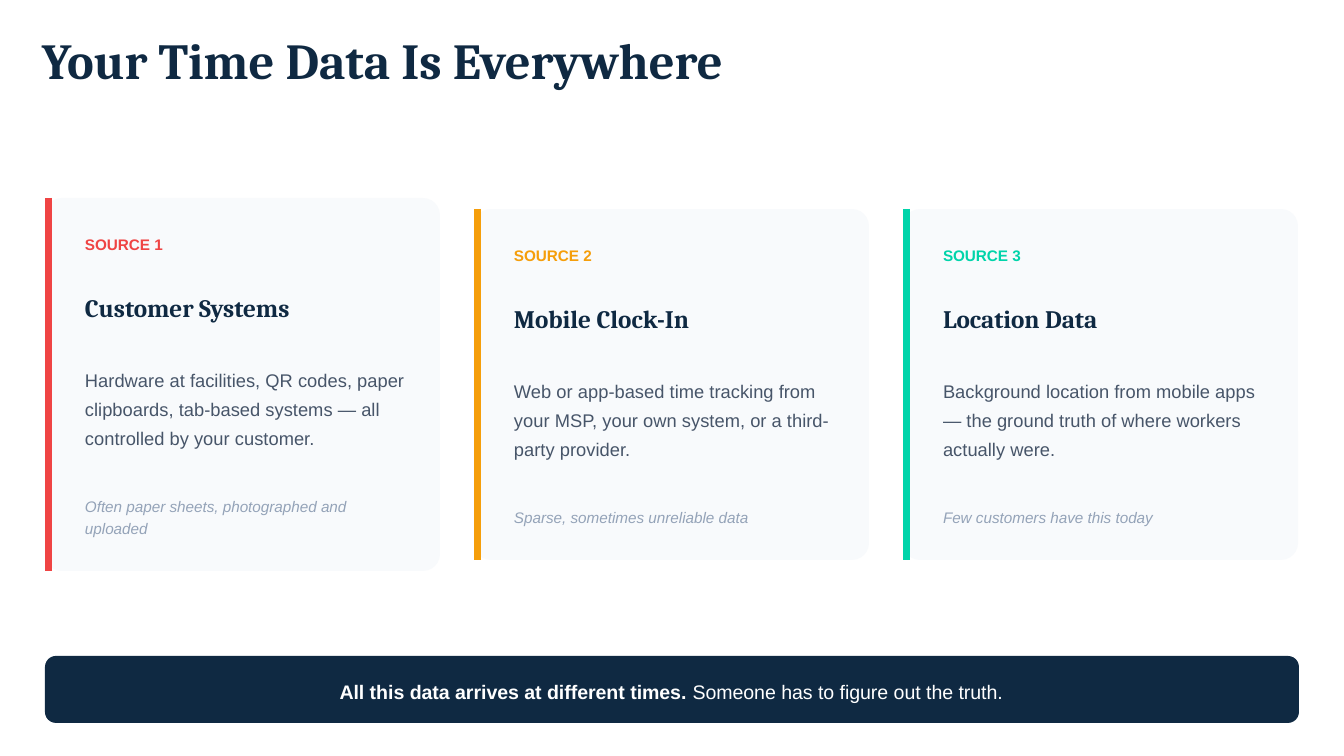
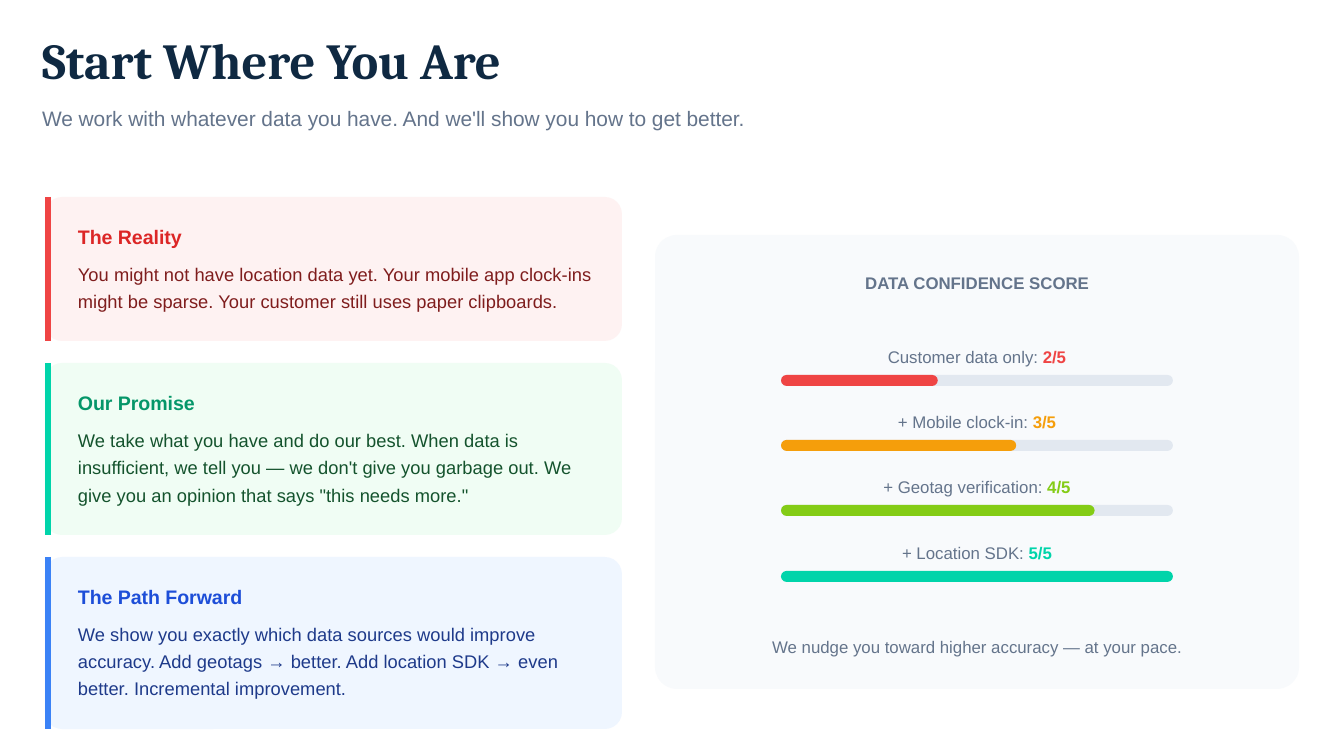
from lxml import etree
from pptx import Presentation
from pptx import util as u
from pptx.dml.color import RGBColor
from pptx.enum import shapes, text
from pptx.oxml.ns import qn

# Content
SOURCES_TITLE = ("Your Time Data Is Everywhere", 683)
SOURCES = [  # label, name, description, note, note lines, colour
    ("SOURCE 1", "Customer Systems",
     "Hardware at facilities, QR codes, paper clipboards, tab-based systems — "
     "all controlled by your customer.",
     "Often paper sheets, photographed and uploaded", 2, "EF4444"),
    ("SOURCE 2", "Mobile Clock-In",
     "Web or app-based time tracking from your MSP, your own system, "
     "or a third-party provider.",
     "Sparse, sometimes unreliable data", 1, "F59E0B"),
    ("SOURCE 3", "Location Data",
     "Background location from mobile apps — the ground truth of where "
     "workers actually were.",
     "Few customers have this today", 1, "00D4AA"),
]
BANNER = ("All this data arrives at different times.",
          " Someone has to figure out the truth.")

START_TITLE = ("Start Where You Are", 644)
SUBTITLE = ("We work with whatever data you have. "
            "And we'll show you how to get better.")
STEPS = [  # heading, body, body lines, fill, bar, heading colour, body colour
    ("The Reality",
     "You might not have location data yet. Your mobile app clock-ins might "
     "be sparse. Your customer still uses paper clipboards.",
     2, "FEF2F2", "EF4444", "DC2626", "7F1D1D"),
    ("Our Promise",
     "We take what you have and do our best. When data is insufficient, we "
     "tell you — we don't give you garbage out. We give you an opinion that "
     'says "this needs more."',
     3, "F0FDF4", "00D4AA", "059669", "14532D"),
    ("The Path Forward",
     "We show you exactly which data sources would improve accuracy. Add "
     "geotags → better. Add location SDK → even better. Incremental "
     "improvement.",
     3, "EFF6FF", "3B82F6", "1D4ED8", "1E3A8A"),
]
SCORE_HEADING = "DATA CONFIDENCE SCORE"
SCORES = [("Customer data only: ", 2, "EF4444"),
          ("+ Mobile clock-in: ", 3, "F59E0B"),
          ("+ Geotag verification: ", 4, "84CC16"),
          ("+ Location SDK: ", 5, "00D4AA")]
SCORE_MAX = 5
SCORE_NOTE = "We nudge you toward higher accuracy — at your pace."

# Shared style
WIDTH, HEIGHT = 1344, 756
MARGIN = 45
CONTENT_W = WIDTH - 2 * MARGIN
HEAD_FONT, BODY_FONT = "Cambria", "Arial"
NAVY, WHITE, PALE, TRACK = "0F2942", "FFFFFF", "F8FAFC", "E2E8F0"
SLATE, DARK_SLATE, LIGHT_SLATE = "64748B", "475569", "94A3B8"
EMU_PER_PX = u.Inches(10) / WIDTH


def px(n):
    return u.Emu(round(n * EMU_PER_PX))


def rgb(value):
    return RGBColor.from_string(value)


def add_text(s, x, y, w, h, runs, size, leading=None, font=BODY_FONT,
             center=False):
    """Each run is (text, colour, style), style being "", "b" or "i"."""
    tf = s.shapes.add_textbox(px(x), px(y), px(w), px(h)).text_frame
    tf.word_wrap = True
    tf.margin_left = tf.margin_right = tf.margin_top = tf.margin_bottom = 0
    p = tf.paragraphs[0]
    p.alignment = text.PP_ALIGN.CENTER if center else text.PP_ALIGN.LEFT
    if leading:
        p.line_spacing = u.Pt(leading)
    for words, color, style in runs:
        r = p.add_run()
        r.text = words
        r.font.name = font
        r.font.size = u.Pt(size)
        r.font.color.rgb = rgb(color)
        r.font.bold = style == "b"
        r.font.italic = style == "i"


def add_round(s, x, y, w, h, radius, color):
    sp = s.shapes.add_shape(shapes.MSO_SHAPE.ROUNDED_RECTANGLE,
                            px(x), px(y), px(w), px(h))
    sp.adjustments[0] = min(0.5, radius / min(w, h))
    sp.shadow.inherit = False
    sp.fill.solid()
    sp.fill.fore_color.rgb = rgb(color)
    sp.line.fill.background()


def add_card(s, x, y, w, h, fill, bar, bar_pt):
    """Rounded card with a coloured bar along its left edge."""
    add_round(s, x, y, w, h, 17, fill)
    bar_x = px(x) + u.Pt(bar_pt) // 2
    line = s.shapes.add_connector(shapes.MSO_CONNECTOR.STRAIGHT,
                                  bar_x, px(y), bar_x, px(y + h))
    line.line.color.rgb = rgb(bar)
    line.line.width = u.Pt(bar_pt)
    etree.SubElement(line.element.spPr, qn("a:effectLst"))


def new_slide(prs, title):
    s = prs.slides.add_slide(prs.slide_layouts[6])
    s.background.fill.solid()
    s.background.fill.fore_color.rgb = rgb(WHITE)
    words, w = title
    add_text(s, 42, 39, w, 51, [(words, NAVY, "b")], 27, 27, HEAD_FONT)
    return s


def build_sources(prs):
    s = new_slide(prs, SOURCES_TITLE)

    # Source cards, centred on one horizontal axis
    card_w, middle, inset = 395, 384, 40
    step = (CONTENT_W - card_w) // (len(SOURCES) - 1)
    for i, (label, name, body, note, lines, color) in enumerate(SOURCES):
        note_h = 22 * lines
        h = 296 + note_h + 33
        x, y = MARGIN + i * step, middle - h // 2
        add_card(s, x, y, card_w, h, PALE, color, 3.75)
        parts = [(34, 22, (label, color, "b"), 8.2, 11.6, BODY_FONT),
                 (94, 30, (name, NAVY, "b"), 13.5, 16.2, HEAD_FONT),
                 (164, 87, (body, DARK_SLATE, ""), 9.8, 15.6, BODY_FONT),
                 (296, note_h, (note, LIGHT_SLATE, "i"), 8.2, 11.6, BODY_FONT)]
        for dy, part_h, run, size, leading, font in parts:
            add_text(s, x + inset, y + dy, 328, part_h, [run], size, leading,
                     font)

    # Bottom banner
    add_round(s, MARGIN, 656, CONTENT_W, 67, 11, NAVY)
    strong, rest = BANNER
    add_text(s, 60, 676, 1223, 27, [(strong, WHITE, "b"), (rest, WHITE, "")],
             10.5, 14.7, center=True)


def build_start(prs):
    s = new_slide(prs, START_TITLE)
    add_text(s, 42, 101, 1285, 30, [(SUBTITLE, SLATE, "")], 11.2, 15.8)

    # Stacked cards on the left
    y, gap = 197, 22
    for heading, body, lines, fill, bar, head_color, body_color in STEPS:
        body_h = 28 * lines
        h = 61 + body_h + 27
        add_card(s, MARGIN, y, 577, h, fill, bar, 3)
        add_text(s, 78, y + 28, 525, 23, [(heading, head_color, "b")], 10.5)
        add_text(s, 78, y + 61, 525, body_h, [(body, body_color, "")],
                 9.8, 14.6)
        y += h + gap

    # Score panel on the right
    add_round(s, 655, 235, 644, 454, 22, PALE)
    axis = 977

    def panel_text(y, w, runs):
        add_text(s, axis - w // 2, y, w, 23, runs, 9, 12.6, center=True)

    panel_text(269, 274, [(SCORE_HEADING, SLATE, "b")])
    track_w, track_h = 392, 11
    track_x = axis - track_w // 2
    for i, (label, score, color) in enumerate(SCORES):
        bar_y = 375 + i * 196 // 3
        panel_text(bar_y - 32, 400, [(label, SLATE, ""),
                                     (f"{score}/{SCORE_MAX}", color, "b")])
        if score < SCORE_MAX:
            add_round(s, track_x, bar_y, track_w, track_h, track_h, TRACK)
        add_round(s, track_x, bar_y, track_w * score / SCORE_MAX, track_h,
                  track_h, color)
    panel_text(633, 418, [(SCORE_NOTE, SLATE, "")])


def main():
    prs = Presentation()
    prs.slide_width, prs.slide_height = px(WIDTH), px(HEIGHT)
    build_sources(prs)
    build_start(prs)
    prs.save("out.pptx")


if __name__ == "__main__":
    main()
